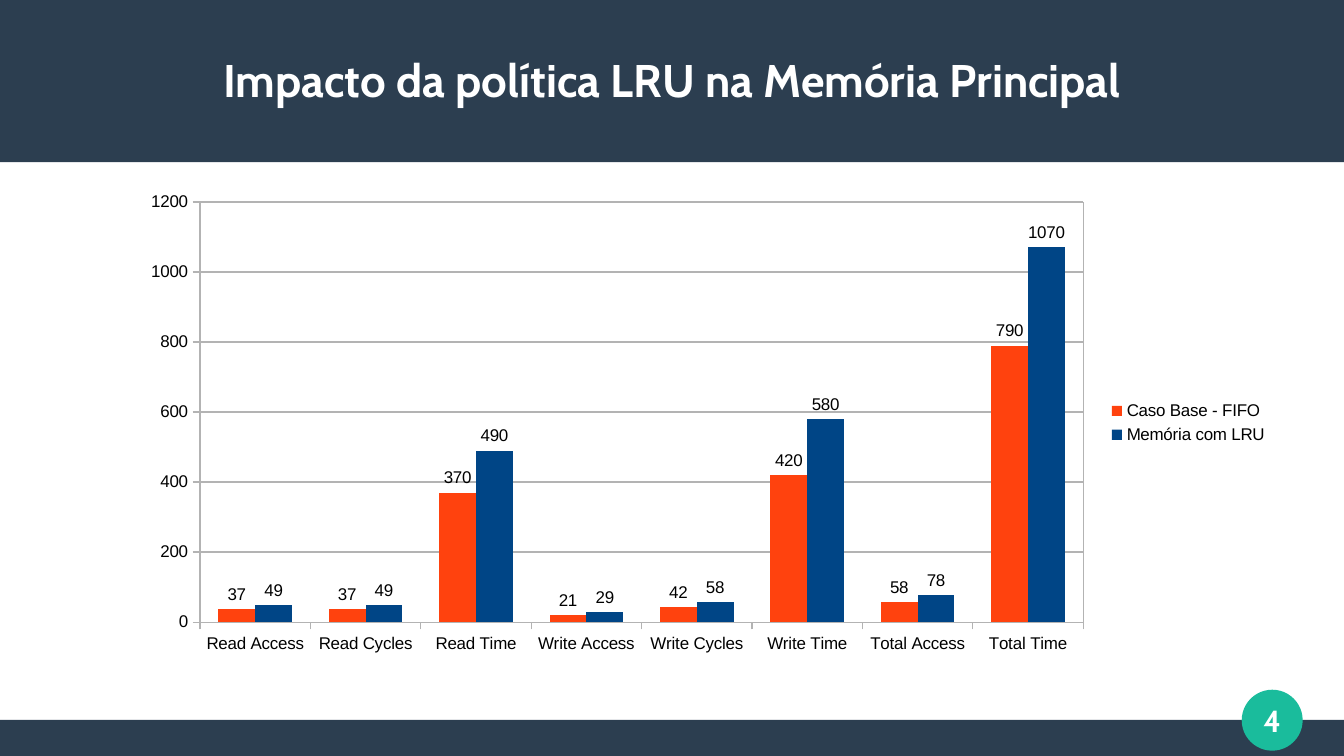
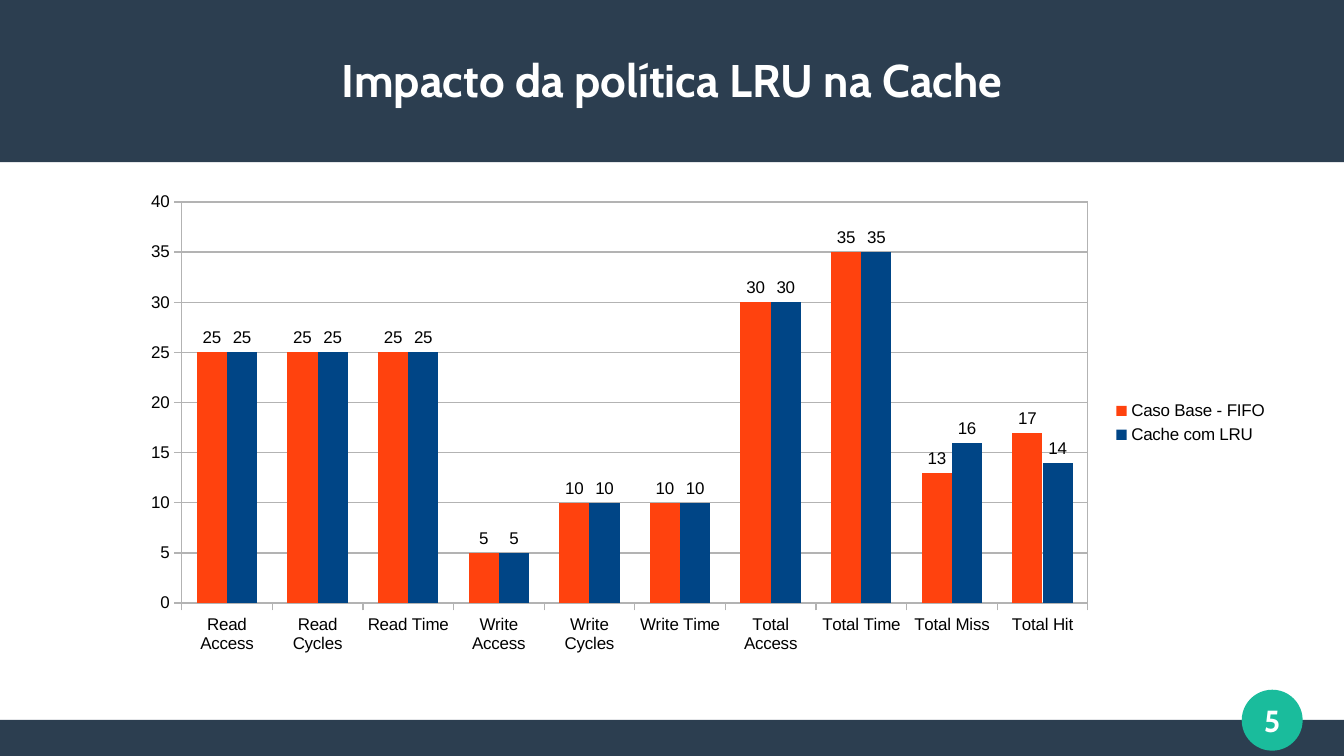
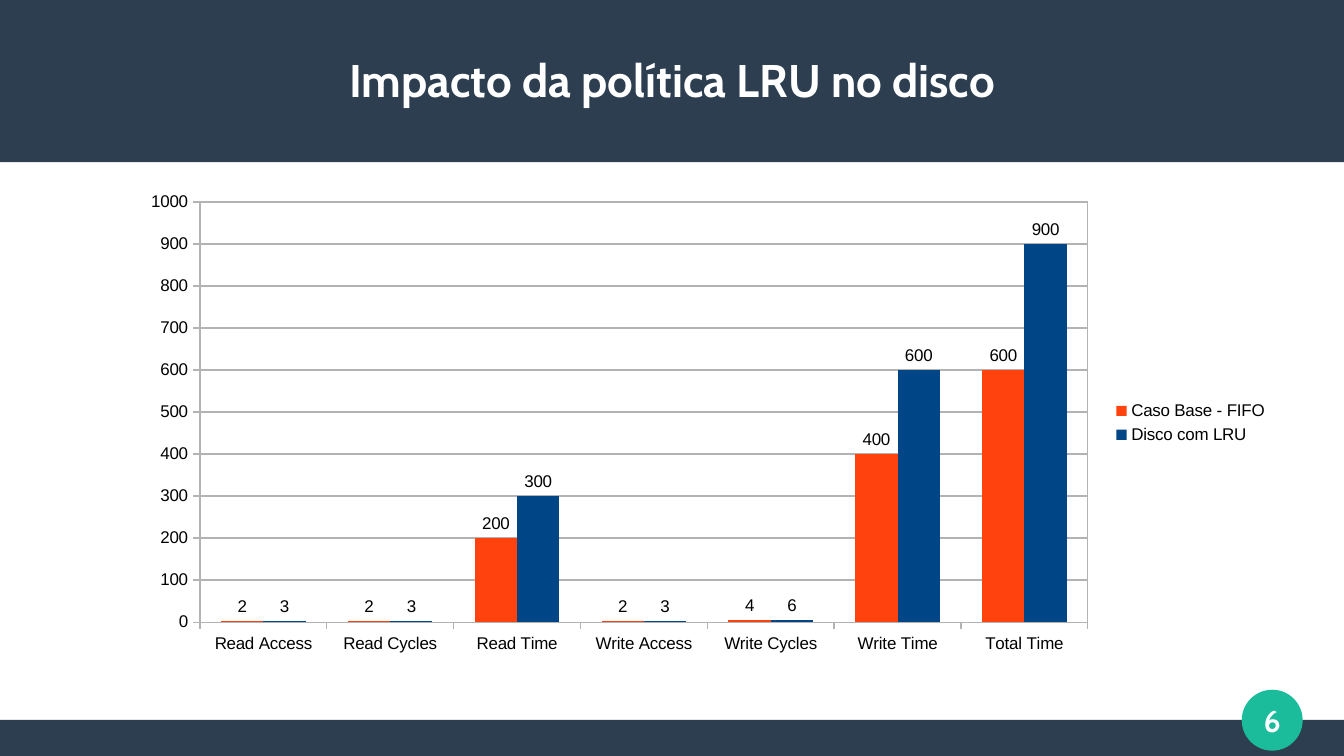
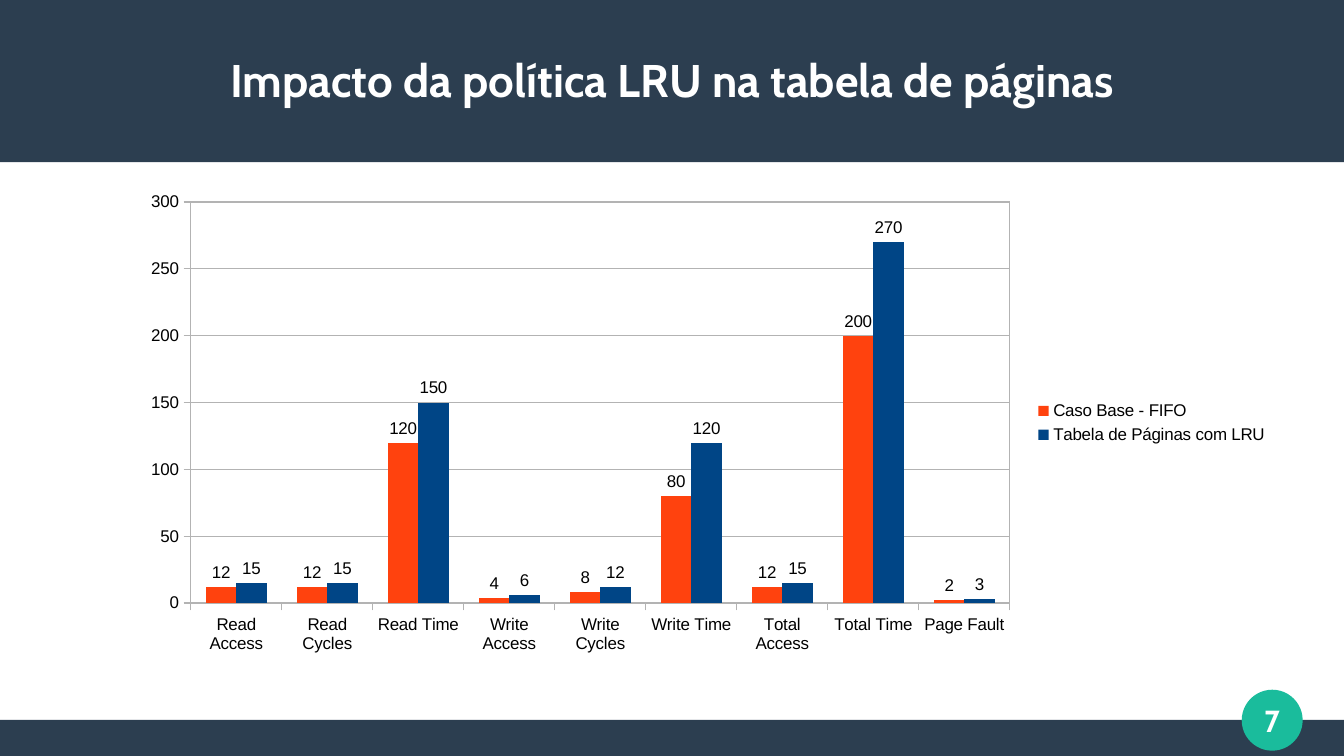
import dataclasses

import lxml.etree
import pptx
import pptx.chart.data
import pptx.dml.color
import pptx.enum.chart
import pptx.enum.shapes
import pptx.enum.text
import pptx.oxml
import pptx.oxml.ns
import pptx.util

Cm = pptx.util.Cm
Pt = pptx.util.Pt
RGBColor = pptx.dml.color.RGBColor


@dataclasses.dataclass(frozen=True)
class Theme:
    band: RGBColor = RGBColor.from_string("2C3E50")
    badge: RGBColor = RGBColor.from_string("1ABC9C")
    light_text: RGBColor = RGBColor.from_string("FFFFFF")
    chart_text: RGBColor = RGBColor.from_string("000000")
    chart_line: RGBColor = RGBColor.from_string("B3B3B3")
    series: tuple = (RGBColor.from_string("FF420E"), RGBColor.from_string("004586"))
    heading_font: str = "Cabin"
    chart_font: str = "Arial"
    title_size: Pt = Pt(27)
    number_size: Pt = Pt(18)
    chart_size: Pt = Pt(10)


theme = Theme()
FIRST_NUMBER = 4
BASE_SERIES = "Caso Base - FIFO"
ACCESS_KINDS = ["Read Access", "Read Cycles", "Read Time",
                "Write Access", "Write Cycles", "Write Time"]

# Title, categories, base values, name of the LRU series, LRU values
comparisons = [
    ("Impacto da política LRU na Memória Principal",
     ACCESS_KINDS + ["Total Access", "Total Time"],
     [37, 37, 370, 21, 42, 420, 58, 790],
     "Memória com LRU",
     [49, 49, 490, 29, 58, 580, 78, 1070]),
    ("Impacto da política LRU na Cache",
     ACCESS_KINDS + ["Total Access", "Total Time", "Total Miss", "Total Hit"],
     [25, 25, 25, 5, 10, 10, 30, 35, 13, 17],
     "Cache com LRU",
     [25, 25, 25, 5, 10, 10, 30, 35, 16, 14]),
    ("Impacto da política LRU no disco",
     ACCESS_KINDS + ["Total Time"],
     [2, 2, 200, 2, 4, 400, 600],
     "Disco com LRU",
     [3, 3, 300, 3, 6, 600, 900]),
    ("Impacto da política LRU na tabela de páginas",
     ACCESS_KINDS + ["Total Access", "Total Time", "Page Fault"],
     [12, 12, 120, 4, 8, 80, 12, 200, 2],
     "Tabela de Páginas com LRU",
     [15, 15, 150, 6, 12, 120, 15, 270, 3]),
]


def add_filled_shape(slide, kind, left, top, width, height, color):
    shape = slide.shapes.add_shape(kind, left, top, width, height)
    shape.shadow.inherit = False
    shape.fill.solid()
    shape.fill.fore_color.rgb = color
    shape.line.fill.background()
    return shape


def set_heading_text(shape, text, size):
    """Write one centred bold heading line without insets."""
    frame = shape.text_frame
    frame.text = text
    frame.auto_size = pptx.enum.text.MSO_AUTO_SIZE.NONE
    frame.vertical_anchor = pptx.enum.text.MSO_ANCHOR.MIDDLE
    frame.margin_left = frame.margin_right = frame.margin_top = frame.margin_bottom = 0
    paragraph = frame.paragraphs[0]
    paragraph.alignment = pptx.enum.text.PP_ALIGN.CENTER
    paragraph.font.name = theme.heading_font
    paragraph.font.size = size
    paragraph.font.bold = True
    paragraph.font.color.rgb = theme.light_text


presentation = pptx.Presentation()
presentation.slide_width = Cm(28)
presentation.slide_height = Cm(15.75)
layout = presentation.slide_layouts.get_by_name("Title Only")
slides = [presentation.slides.add_slide(layout) for _ in comparisons]

# The bands are drawn once and moved to the layout, behind its placeholders.
for band_id, (top, height) in enumerate([(Cm(0), Cm(3.38)), (Cm(15), Cm(0.75))], start=101):
    band = add_filled_shape(slides[0], pptx.enum.shapes.MSO_SHAPE.RECTANGLE,
                            Cm(0), top, presentation.slide_width, height, theme.band)
    band.element.nvSpPr.cNvPr.set("id", str(band_id))
    layout.shapes.element.insert(2, band.element)

for number, (slide, comparison) in enumerate(zip(slides, comparisons), start=FIRST_NUMBER):
    title_text, categories, base_values, lru_name, lru_values = comparison

    badge = add_filled_shape(slide, pptx.enum.shapes.MSO_SHAPE.OVAL,
                             Cm(25.87), Cm(14.37), Cm(1.27), Cm(1.27), theme.badge)
    set_heading_text(badge, str(number), theme.number_size)
    badge.text_frame.word_wrap = False

    title = slide.shapes.title
    title.left, title.top, title.width, title.height = Cm(1), Cm(0.64), Cm(26), Cm(2)
    set_heading_text(title, title_text, theme.title_size)

    chart_data = pptx.chart.data.CategoryChartData()
    chart_data.categories = categories
    chart_data.add_series(BASE_SERIES, base_values)
    chart_data.add_series(lru_name, lru_values)
    chart = slide.shapes.add_chart(
        pptx.enum.chart.XL_CHART_TYPE.COLUMN_CLUSTERED,
        Cm(2.67), Cm(3.81), Cm(24), Cm(10), chart_data).chart
    chart.has_title = False
    chart.font.name = theme.chart_font
    chart.font.size = theme.chart_size
    chart.font.color.rgb = theme.chart_text
    chart.has_legend = True
    chart.legend.position = pptx.enum.chart.XL_LEGEND_POSITION.RIGHT
    chart.legend.include_in_layout = False

    plot = chart.plots[0]
    plot.gap_width = 100
    plot.overlap = 0
    plot.vary_by_categories = False
    for series, color in zip(plot.series, theme.series):
        series.format.fill.solid()
        series.format.fill.fore_color.rgb = color
        series.invert_if_negative = False
        series.data_labels.show_value = True
        series.data_labels.position = pptx.enum.chart.XL_LABEL_POSITION.OUTSIDE_END

    chart.value_axis.has_major_gridlines = True
    for lined in (chart.category_axis, chart.value_axis, chart.value_axis.major_gridlines):
        lined.format.line.color.rgb = theme.chart_line
        lined.format.line.width = Pt(0)

    # The frame around the plot area has no public method.
    plot_area = chart.element.find(".//" + pptx.oxml.ns.qn("c:plotArea"))
    plot_area.append(pptx.oxml.parse_xml(
        f'<c:spPr {pptx.oxml.ns.nsdecls("c", "a")}><a:noFill/><a:ln w="0"><a:solidFill>'
        f'<a:srgbClr val="{theme.chart_line}"/></a:solidFill></a:ln></c:spPr>'))

presentation.save("out.pptx")
